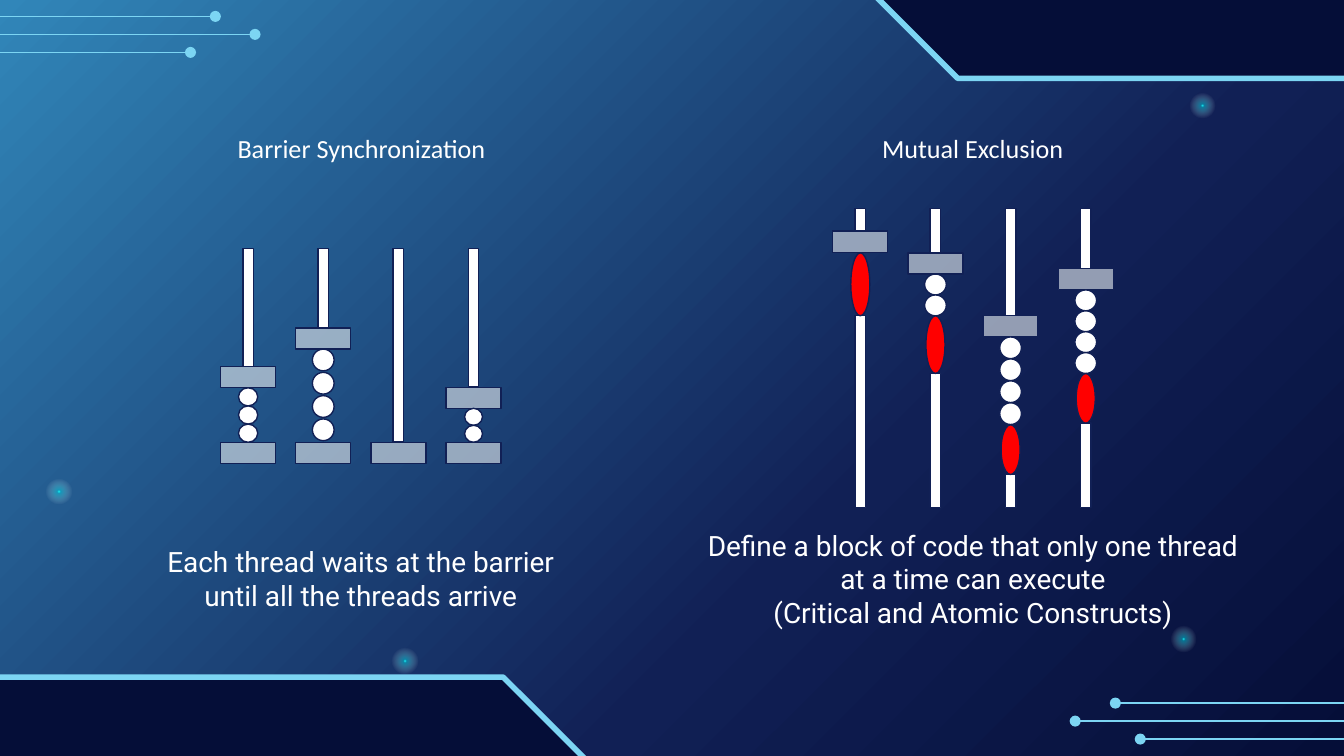
from lxml.etree import SubElement
from pptx import Presentation
from pptx.dml.color import RGBColor
from pptx.enum.shapes import MSO_CONNECTOR, MSO_SHAPE
from pptx.enum.text import MSO_ANCHOR, PP_ALIGN
from pptx.oxml import parse_xml
from pptx.oxml.ns import nsdecls, qn
from pptx.util import Cm, Pt

WHITE = RGBColor(0xFF, 0xFF, 0xFF)
RED = RGBColor(0xFF, 0x00, 0x00)
SKY = RGBColor(0x7C, 0xD5, 0xF3)
SILVER = RGBColor(0xD7, 0xDF, 0xE5)
BLUE = RGBColor(0x31, 0x86, 0xB9)
NAVY = RGBColor(0x11, 0x20, 0x55)
MIDNIGHT = RGBColor(0x05, 0x0E, 0x38)
AQUA = RGBColor(0x21, 0xFF, 0xFF)
TEAL = RGBColor(0x05, 0xD8, 0xE7)

DIAGONAL = '<a:lin ang="2700000" scaled="0"/>'
RADIAL = ('<a:path path="circle"><a:fillToRect l="50000" t="50000" '
          'r="50000" b="50000"/></a:path>')

# Lengths in centimetres
LANE_PITCH = 1.42
BAR_WIDTH = 0.2
BLOCK_WIDTH, BLOCK_HEIGHT = 1.04, 0.4
BEAD_SIZE = 0.41
CRITICAL_WIDTH = 0.36


def set_gradient(fill, element, stops, direction):
    """Fill with (position %, colour, opacity %) stops."""
    fill.gradient()
    stop_xml = "".join(
        f'<a:gs pos="{position * 1000}"><a:srgbClr val="{color}">'
        f'<a:alpha val="{opacity * 1000}"/></a:srgbClr></a:gs>'
        for position, color, opacity in stops)
    old = element.find(".//" + qn("a:gradFill"))
    old.getparent().replace(old, parse_xml(
        f'<a:gradFill {nsdecls("a")} rotWithShape="1">'
        f'<a:gsLst>{stop_xml}</a:gsLst>{direction}</a:gradFill>'))


class ThreadSlide:
    def __init__(self, slide):
        self.slide = slide

    def background(self, stops):
        set_gradient(self.slide.background.fill, self.slide.element, stops, DIAGONAL)

    def shape(self, kind, left, top, width, height, color, line=NAVY,
              line_width=0.75, opacity=100):
        shape = self.slide.shapes.add_shape(
            kind, Cm(left), Cm(top), Cm(width), Cm(height))
        shape.shadow.inherit = False
        shape.fill.solid()
        shape.fill.fore_color.rgb = color
        shape.line.color.rgb = line
        shape.line.width = Pt(line_width)
        if opacity < 100:
            fill_color = shape.element.spPr.find(".//" + qn("a:srgbClr"))
            SubElement(fill_color, qn("a:alpha"), val=str(opacity * 1000))
        return shape

    def glow(self, left, top):
        shape = self.shape(MSO_SHAPE.OVAL, left, top, 0.5, 0.5, AQUA)
        shape.line.fill.background()
        stops = [(0, AQUA, 100), (9, TEAL, 48), (69, WHITE, 0), (100, WHITE, 0)]
        set_gradient(shape.fill, shape.element, stops, RADIAL)

    def corner(self, left, top, rotation):
        shape = self.shape(MSO_SHAPE.SNIP_2_SAME_RECTANGLE, left, top, 13.18, 3.58,
                           MIDNIGHT, SKY, 3)
        shape.adjustments[0] = 0.5
        shape.adjustments[1] = 0
        shape.rotation = rotation

    def circuit_line(self, start, end, y):
        line = self.slide.shapes.add_connector(
            MSO_CONNECTOR.STRAIGHT, Cm(start), Cm(y), Cm(end), Cm(y))
        line.line.color.rgb = SKY
        line.line.width = Pt(0.75)
        SubElement(line.line._get_or_add_ln(), qn("a:tailEnd"), type="oval")
        SubElement(line.element.spPr, qn("a:effectLst"))

    def text(self, left, top, width, height, font, size, *lines):
        box = self.slide.shapes.add_textbox(Cm(left), Cm(top), Cm(width), Cm(height))
        frame = box.text_frame
        frame.word_wrap = True
        frame.vertical_anchor = MSO_ANCHOR.MIDDLE
        frame.margin_left = frame.margin_right = Cm(0.25)
        frame.margin_top = frame.margin_bottom = Cm(0.25)
        frame.text = "\n".join(lines)
        for paragraph in frame.paragraphs:
            paragraph.alignment = PP_ALIGN.CENTER
            paragraph.font.name = font
            paragraph.font.size = Pt(size)
            paragraph.font.color.rgb = WHITE

    def bar(self, center, top, bottom):
        self.shape(MSO_SHAPE.RECTANGLE, center - BAR_WIDTH / 2, top,
                   BAR_WIDTH, bottom - top, WHITE)

    def block(self, center, top):
        self.shape(MSO_SHAPE.RECTANGLE, center - BLOCK_WIDTH / 2, top,
                   BLOCK_WIDTH, BLOCK_HEIGHT, SILVER, opacity=66)

    def beads(self, center, top, bottom, count):
        """Spread beads evenly from top to bottom."""
        for index in range(count):
            step = (bottom - top) / count
            width = min(BEAD_SIZE, step * 1.06)
            self.shape(MSO_SHAPE.OVAL, center - width / 2, top + index * step,
                       width, min(BEAD_SIZE, step), WHITE)

    def barrier_lane(self, center, block_top, bead_count):
        bar_top, barrier_top = 4.7, 8.36
        self.block(center, barrier_top)
        self.bar(center, bar_top, block_top or barrier_top)
        if block_top:
            self.block(center, block_top)
            self.beads(center, block_top + BLOCK_HEIGHT, barrier_top, bead_count)

    def exclusion_lane(self, center, block_top, bead_count, critical_top,
                       critical_height):
        bar_top, bar_bottom = 3.94, 9.6
        self.bar(center, bar_top, block_top)
        self.block(center, block_top)
        self.beads(center, block_top + BLOCK_HEIGHT, critical_top, bead_count)
        self.bar(center, critical_top + critical_height, bar_bottom)
        self.shape(MSO_SHAPE.OVAL, center - CRITICAL_WIDTH / 2, critical_top,
                   CRITICAL_WIDTH, critical_height, RED)


def main():
    presentation = Presentation()
    presentation.slide_width = Cm(25.4)
    presentation.slide_height = Cm(14.29)
    blank_layout = presentation.slide_layouts[6]
    page = ThreadSlide(presentation.slides.add_slide(blank_layout))

    page.background([(0, BLUE, 100), (64, NAVY, 100), (100, MIDNIGHT, 100)])
    for left, top in [(7.41, 12.24), (22.48, 1.75), (0.87, 9.04), (22.12, 11.83)]:
        page.glow(left, top)
    page.corner(-1.88, 12.8, 0)
    page.corner(16.31, -2.1, 180)
    for end, y in [(4.07, 0.31), (4.82, 0.65), (3.6, 0.99)]:
        page.circuit_line(end - 5.87, end, y)
    for end, y in [(21.08, 13.29), (20.32, 13.63), (21.55, 13.97)]:
        page.circuit_line(end + 5.87, end, y)

    page.text(1.68, 2.06, 10.31, 1.47, "Calibri", 14, "Barrier Synchronization")
    barrier_lanes = [(6.93, 3), (6.2, 4), (None, 0), (7.32, 2)]
    for index, lane in enumerate(barrier_lanes):
        page.barrier_lane(4.69 + index * LANE_PITCH, *lane)
    page.text(2.64, 9.93, 8.36, 2.01, "Roboto", 15,
              "Each thread waits at the barrier until all the threads arrive")

    page.text(13.23, 2.06, 10.31, 1.47, "Calibri", 14, "Mutual Exclusion")
    exclusion_lanes = [(4.37, 0, 4.78, 1.19), (4.78, 2, 5.97, 1.09),
                       (5.97, 4, 8.03, 0.94), (5.08, 4, 7.06, 0.94)]
    for index, lane in enumerate(exclusion_lanes):
        page.exclusion_lane(16.26 + index * LANE_PITCH, *lane)
    page.text(13.03, 9.63, 10.72, 2.62, "Roboto", 15,
              "Define a block of code that only one thread at a time can execute",
              "(Critical and Atomic Constructs)")

    presentation.save("out.pptx")


if __name__ == "__main__":
    main()
